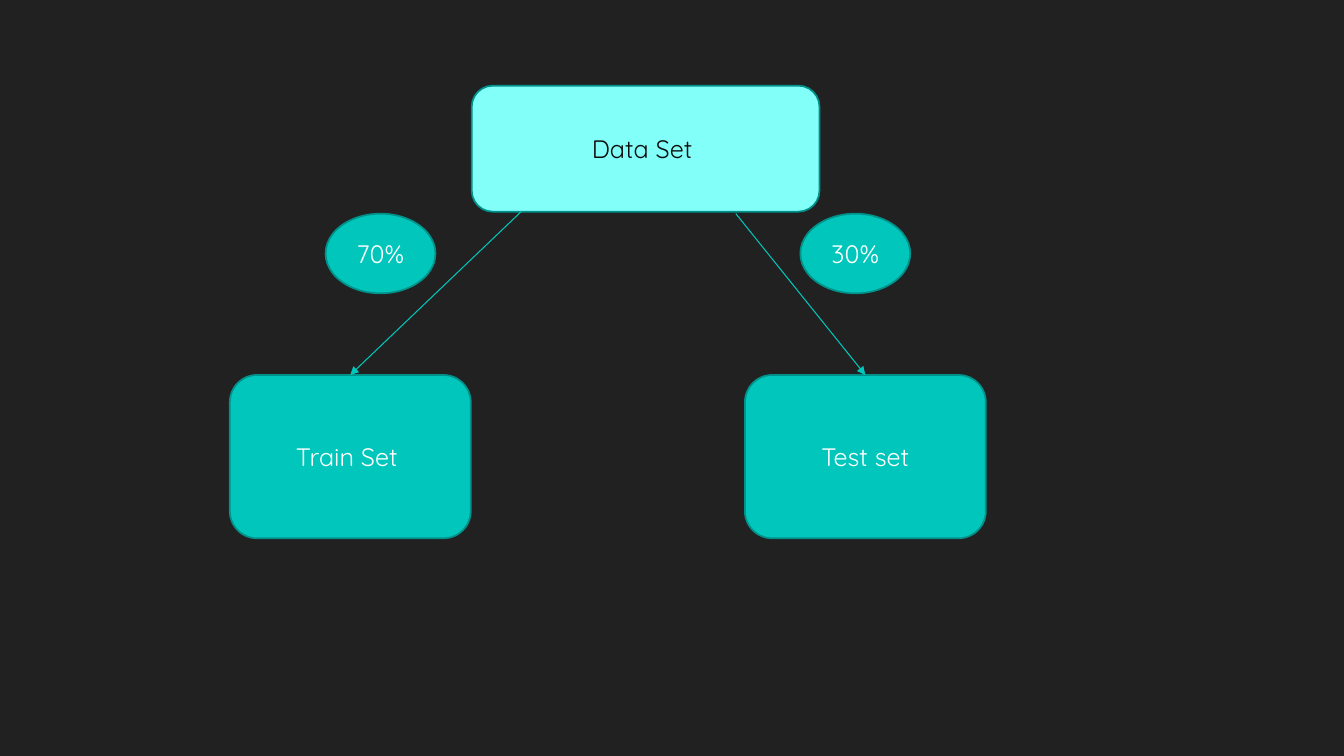
from dataclasses import dataclass

from lxml import etree
from pptx import Presentation
from pptx import util as u
from pptx.dml.color import RGBColor
from pptx.enum import shapes, text
from pptx.oxml.ns import qn

COLOURS = {
    "background": "212121",
    "pale": "82FFF8",
    "teal": "00C6BB",
    "outline": "00928A",
    "dark text": "0D0D0D",
    "light text": "FFFFFF",
}
FONT = "Quicksand"

# Grid of 80 columns by 45 rows, each cell a sixth of an inch
CELL = u.Inches(1) // 6
COLUMNS, ROWS = 80, 45
BRANCH_ROW, BADGE_ROW = 22.32, 12.72
BRANCH_SIZE = (14.34, 9.72)
BADGE_SIZE = (6.54, 4.74)


@dataclass
class Node:
    label: str
    column: float
    row: float
    size: tuple[float, float]
    kind: shapes.MSO_SHAPE = shapes.MSO_SHAPE.ROUNDED_RECTANGLE
    fill: str = "teal"
    ink: str = "light text"


@dataclass
class Branch:
    label: str
    column: float
    share: str
    badge_column: float
    arrow_start: tuple[float, float]


def cells(count: float) -> u.Emu:
    return u.Emu(round(count * CELL))


def colour(name: str) -> RGBColor:
    return RGBColor.from_string(COLOURS[name])


def draw_node(slide, node: Node):
    width, height = node.size
    shape = slide.shapes.add_shape(
        node.kind, cells(node.column), cells(node.row), cells(width), cells(height))
    shape.shadow.inherit = False
    shape.fill.solid()
    shape.fill.fore_color.rgb = colour(node.fill)
    shape.line.color.rgb = colour("outline")
    shape.line.width = u.Pt(1.25)

    frame = shape.text_frame
    frame.text = node.label
    frame.vertical_anchor = text.MSO_ANCHOR.MIDDLE
    paragraph = frame.paragraphs[0]
    paragraph.alignment = text.PP_ALIGN.CENTER
    font = paragraph.runs[0].font
    font.name, font.size = FONT, u.Pt(18)
    font.color.rgb = colour(node.ink)
    return shape


def draw_arrow(slide, start: tuple[float, float], target) -> None:
    x, y = (cells(value) for value in start)
    arrow = slide.shapes.add_connector(shapes.MSO_CONNECTOR.STRAIGHT, x, y, x, y)
    arrow.end_connect(target, 0)
    arrow.line.color.rgb = colour("teal")
    arrow.line.width = u.Pt(0.75)
    etree.SubElement(arrow.line._get_or_add_ln(), qn("a:tailEnd"), type="triangle")
    etree.SubElement(arrow._element.spPr, qn("a:effectLst"))


DATA_SET = Node("Data Set ", 28.08, 5.1, (20.7, 7.5), fill="pale", ink="dark text")
BRANCHES = [
    Branch("Train Set ", 13.68, "70%", 19.38, (31.02, 12.6)),
    Branch("Test set", 44.34, "30%", 47.64, (43.8, 12.72)),
]


def main() -> None:
    deck = Presentation()
    deck.slide_width, deck.slide_height = cells(COLUMNS), cells(ROWS)
    slide = deck.slides.add_slide(deck.slide_layouts[6])
    slide.background.fill.solid()
    slide.background.fill.fore_color.rgb = colour("background")

    # Whole data set, then each subset with its arrow and share
    draw_node(slide, DATA_SET)
    for branch in BRANCHES:
        subset = draw_node(
            slide, Node(branch.label, branch.column, BRANCH_ROW, BRANCH_SIZE))
        draw_arrow(slide, branch.arrow_start, subset)
        draw_node(slide, Node(branch.share, branch.badge_column, BADGE_ROW,
                              BADGE_SIZE, shapes.MSO_SHAPE.OVAL))

    deck.save("out.pptx")


if __name__ == "__main__":
    main()
